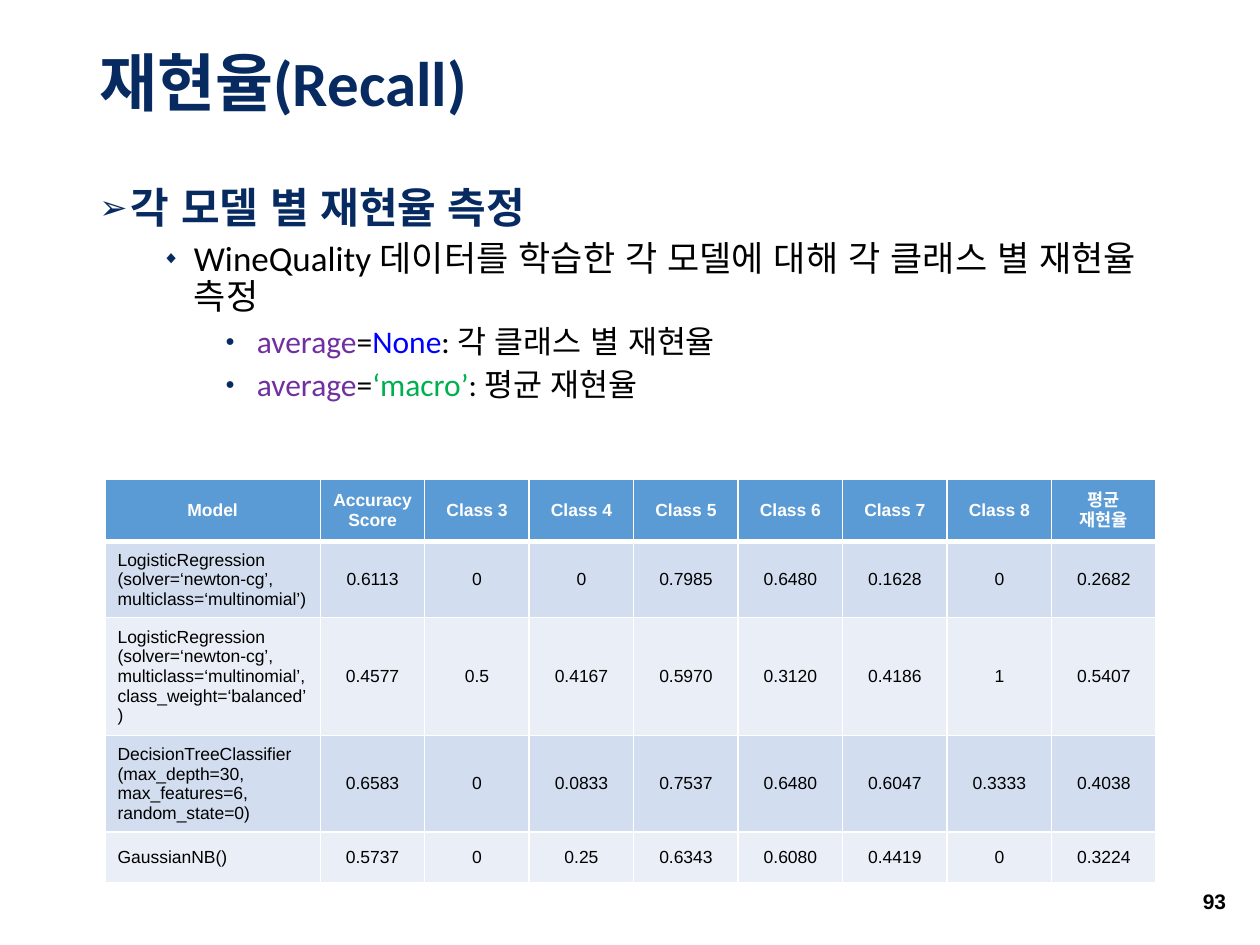
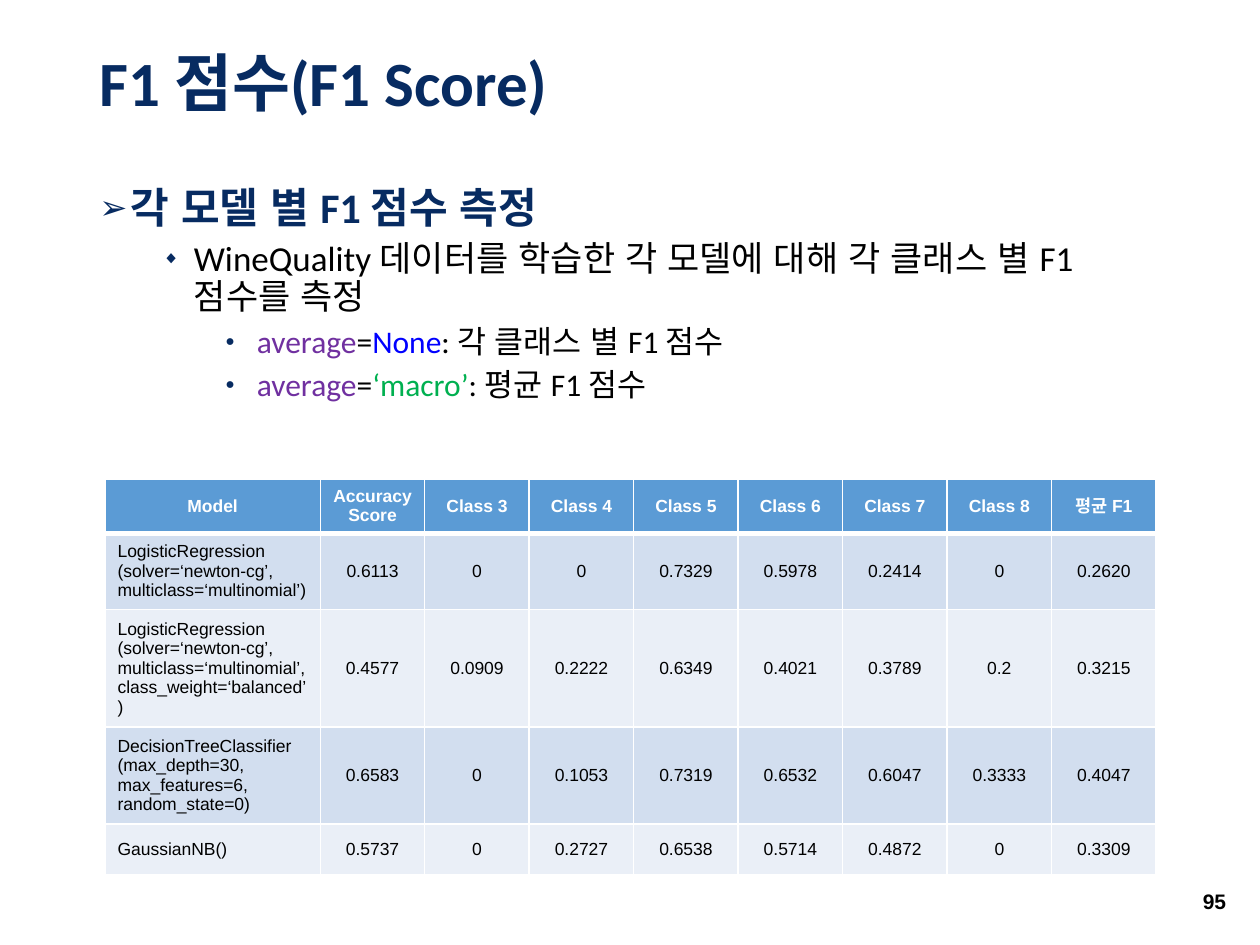
import pptx
import pptx.dml.color
import pptx.enum.text
import pptx.oxml
import pptx.oxml.ns
import pptx.util

Pt = pptx.util.Pt
ALIGN = pptx.enum.text.PP_ALIGN
ANCHOR = pptx.enum.text.MSO_ANCHOR

COLORS = {
    "navy": "072B61",
    "black": "000000",
    "white": "FFFFFF",
    "purple": "7030A0",
    "blue": "0000FF",
    "green": "00B050",
    "header": "5B9BD5",
    "band_dark": "D2DEEF",
    "band_light": "EAEFF7",
}
HEADING_FONT = "Calibri"
TABLE_FONT = "Arial"
KOREAN_FONT = "Arial"
LEFT, WIDTH = 49.7, 620.6
MODEL_WIDTH, SCORE_WIDTH = 123, 59.7
MODEL_HEIGHTS = [40.6, 62.9, 51.7, 29.2]

MODELS = [
    "LogisticRegression\n(solver=‘newton-cg’, multiclass=‘multinomial’)",
    "LogisticRegression\n(solver=‘newton-cg’, multiclass=‘multinomial’, class_weight=‘balanced’)",
    "DecisionTreeClassifier\n(max_depth=30, max_features=6, random_state=0)",
    "GaussianNB()",
]
ACCURACIES = ["0.6113", "0.4577", "0.6583", "0.5737"]
HEADERS = ["Model", "Accuracy Score"] + [f"Class {number}" for number in range(3, 9)]

SLIDES = [
    {
        "title": "재현율(Recall)",
        "heading": "각 모델 별 재현율 측정",
        "summary": "WineQuality 데이터를 학습한 각 모델에 대해 각 클래스 별 재현율 측정",
        "metric": "재현율",
        "average_header": "평균\n재현율",
        "header_height": 36,
        "number": "93",
        "scores": [
            ["0", "0", "0.7985", "0.6480", "0.1628", "0", "0.2682"],
            ["0.5", "0.4167", "0.5970", "0.3120", "0.4186", "1", "0.5407"],
            ["0", "0.0833", "0.7537", "0.6480", "0.6047", "0.3333", "0.4038"],
            ["0", "0.25", "0.6343", "0.6080", "0.4419", "0", "0.3224"],
        ],
    },
    {
        "title": "F1 점수(F1 Score)",
        "heading": "각 모델 별 F1 점수 측정",
        "summary": "WineQuality 데이터를 학습한 각 모델에 대해 각 클래스 별 F1 점수를 측정",
        "metric": "F1 점수",
        "average_header": "평균 F1",
        "header_height": 29.2,
        "number": "95",
        "scores": [
            ["0", "0", "0.7329", "0.5978", "0.2414", "0", "0.2620"],
            ["0.0909", "0.2222", "0.6349", "0.4021", "0.3789", "0.2", "0.3215"],
            ["0", "0.1053", "0.7319", "0.6532", "0.6047", "0.3333", "0.4047"],
            ["0", "0.2727", "0.6538", "0.5714", "0.4872", "0", "0.3309"],
        ],
    },
]


def rgb(name):
    """Return the named colour."""
    return pptx.dml.color.RGBColor.from_string(COLORS[name])


def add_child(parent, tag, **attributes):
    """Append a DrawingML element with attributes."""
    child = pptx.oxml.parse_xml(f"<a:{tag} {pptx.oxml.ns.nsdecls('a')}/>")
    for name, value in attributes.items():
        child.set(name, str(value))
    parent.append(child)
    return child


def format_run(run, font, size, color, bold=False):
    """Apply font settings to a run."""
    run.font.name = font
    run.font.size = Pt(size)
    run.font.bold = bold
    run.font.color.rgb = rgb(color)
    add_child(run._r.get_or_add_rPr(), "ea", typeface=KOREAN_FONT)


def add_text_box(slide, left, top, width, height, anchor):
    """Add a wrapping text box and return its text frame."""
    text_frame = slide.shapes.add_textbox(Pt(left), Pt(top), Pt(width), Pt(height)).text_frame
    text_frame.word_wrap = True
    text_frame.vertical_anchor = anchor
    return text_frame


def add_title(slide, text):
    """Add the slide title."""
    text_frame = add_text_box(slide, LEFT, 13, WIDTH, 72.7, ANCHOR.MIDDLE)
    text_frame.text = text
    paragraph = text_frame.paragraphs[0]
    paragraph.line_spacing = 0.9
    format_run(paragraph.runs[0], HEADING_FONT, 36, "navy", True)


def add_page_number(slide, number):
    """Add the page number in the bottom right corner."""
    text_frame = add_text_box(slide, 670.3, 500.4, 37.4, 28.8, ANCHOR.MIDDLE)
    text_frame.text = number
    paragraph = text_frame.paragraphs[0]
    paragraph.alignment = ALIGN.RIGHT
    format_run(paragraph.runs[0], TABLE_FONT, 12, "black", True)


def format_bullet(paragraph, level, character, percent):
    """Set the level, spacing, indent and bullet of a paragraph."""
    paragraph.level = level
    paragraph.line_spacing = 0.9
    paragraph.space_before = Pt(5 if level else 10)
    properties = paragraph._p.get_or_add_pPr()
    properties.set("marL", str(Pt(18 + 36 * level)))
    properties.set("indent", str(Pt(-18)))
    add_child(add_child(properties, "buClr"), "srgbClr", val=COLORS["navy"])
    add_child(properties, "buSzPct", val=percent * 1000)
    add_child(properties, "buFont", typeface="Arial")
    add_child(properties, "buChar", char=character)


def add_outline(slide, content):
    """Add the bulleted outline."""
    metric = content["metric"]
    items = [
        (0, "➢", 80, 24, [(content["heading"], "navy")]),
        (1, "◆", 50, 20, [(content["summary"], "black")]),
    ]
    for value, color, scope in [("None", "blue", "각 클래스 별"), ("‘macro’", "green", "평균")]:
        pieces = [("average", "purple"), ("=", "black"), (value, color), (f": {scope} {metric}", "black")]
        items.append((2, "●", 50, 18, pieces))
    text_frame = add_text_box(slide, LEFT, 103.7, WIDTH, 391.7, ANCHOR.TOP)
    for index, (level, character, percent, size, pieces) in enumerate(items):
        paragraph = text_frame.add_paragraph() if index else text_frame.paragraphs[0]
        format_bullet(paragraph, level, character, percent)
        for text, color in pieces:
            run = paragraph.add_run()
            run.text = text
            format_run(run, HEADING_FONT, size, color, level == 0)


def format_cell(cell, row, column):
    """Set borders, fill and text format of a table cell."""
    is_header = row == 0
    properties = cell._tc.get_or_add_tcPr()
    widths = {"lnL": 1, "lnR": 1, "lnT": 3 if row == 1 else 1, "lnB": 3 if is_header else 1}
    for side, width in widths.items():
        line = add_child(properties, side, w=Pt(width))
        add_child(add_child(line, "solidFill"), "srgbClr", val=COLORS["white"])
    cell.fill.solid()
    cell.fill.fore_color.rgb = rgb("header" if is_header else "band_dark" if row % 2 else "band_light")
    cell.vertical_anchor = ANCHOR.MIDDLE
    for paragraph in cell.text_frame.paragraphs:
        paragraph.alignment = ALIGN.CENTER if is_header or column else ALIGN.LEFT
        for run in paragraph.runs:
            format_run(run, TABLE_FONT, 10, "white" if is_header else "black", is_header)


def add_score_table(slide, content):
    """Add the table of scores by model and class."""
    rows = [HEADERS + [content["average_header"]]]
    for model, accuracy, scores in zip(MODELS, ACCURACIES, content["scores"]):
        rows.append([model, accuracy] + scores)
    widths = [MODEL_WIDTH] + [SCORE_WIDTH] * (len(rows[0]) - 1)
    heights = [content["header_height"]] + MODEL_HEIGHTS
    table = slide.shapes.add_table(
        len(rows), len(widths), Pt(60), Pt(273.6), Pt(sum(widths)), Pt(sum(heights))
    ).table
    table.horz_banding = False
    for column, width in zip(table.columns, widths):
        column.width = Pt(width)
    for row_index, texts in enumerate(rows):
        table.rows[row_index].height = Pt(heights[row_index])
        for column_index, text in enumerate(texts):
            cell = table.cell(row_index, column_index)
            cell.text_frame.text = text
            format_cell(cell, row_index, column_index)


def main():
    """Build and save the presentation."""
    presentation = pptx.Presentation()
    presentation.slide_width = Pt(720)
    presentation.slide_height = Pt(540)
    for content in SLIDES:
        slide = presentation.slides.add_slide(presentation.slide_layouts[6])
        add_title(slide, content["title"])
        add_page_number(slide, content["number"])
        add_outline(slide, content)
        add_score_table(slide, content)
    presentation.save("out.pptx")


if __name__ == "__main__":
    main()
